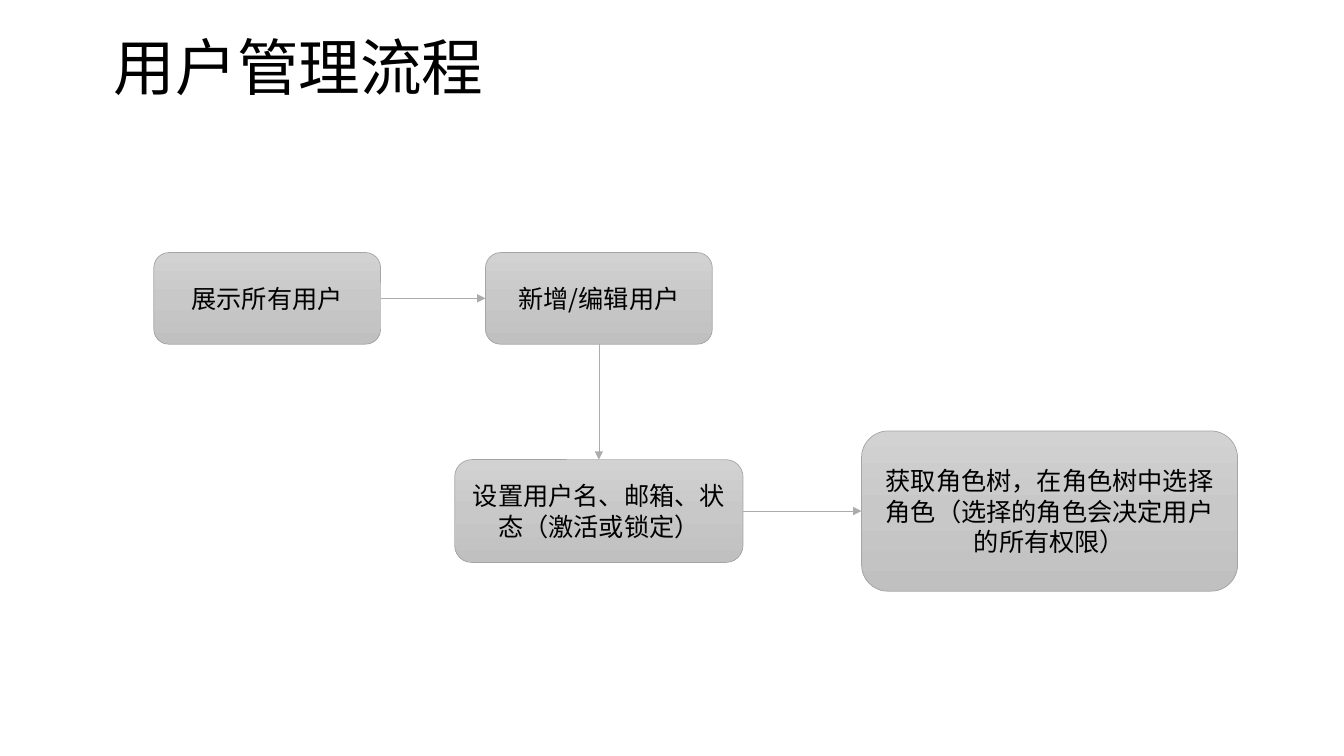
"""Builds the user management flow slide."""
from copy import deepcopy
from dataclasses import dataclass
from typing import Any

from lxml import etree
from pptx import Presentation
from pptx import util as u
from pptx.dml import color
from pptx.enum import shapes, text
from pptx.oxml import ns

FONT = "Noto Sans CJK SC"
HUES = {"text": "000000", "edge": "A5A5A5", "link": "AFABAB",
        "top": "D2D2D2", "mid": "C8C8C8", "low": "C0C0C0"}
STOPS = ((0, "top"), (0.5, "mid"), (1, "low"))
TOP, LEFT, DOWN, RIGHT = range(4)


@dataclass
class Box:
    """A step, placed by its centre, in inches."""
    words: str
    x: float
    y: float
    w: float
    h: float


@dataclass
class Link:
    """An arrow between the sides of two steps."""
    start: int
    out: int
    end: int
    into: int


BOXES = [
    Box("展示所有用户", 2.65, 2.96, 2.25, 0.91),
    Box("新增/编辑用户", 5.94, 2.96, 2.25, 0.91),
    Box("设置用户名、邮箱、状态（激活或锁定）", 5.94, 5.07, 2.86, 1.02),
    Box("获取角色树，在角色树中选择角色（选择的角色会决定用户的所有权限）",
        10.41, 5.07, 3.73, 1.59),
]
LINKS = [Link(0, RIGHT, 1, LEFT), Link(1, DOWN, 2, TOP), Link(2, RIGHT, 3, LEFT)]


def tint(name: str) -> color.RGBColor:
    """Return a named colour."""
    return color.RGBColor.from_string(HUES[name])


def apply(item: Any, form: dict[str, Any]) -> None:
    """Set each format value on an item."""
    for key, value in form.items():
        setattr(item, key, value)


def write(shape: Any, words: str, size: float, para: dict[str, Any]) -> None:
    """Put one styled paragraph in a shape."""
    frame = shape.text_frame
    frame.text = words
    apply(frame, {"word_wrap": True, "auto_size": text.MSO_AUTO_SIZE.NONE,
                  "vertical_anchor": text.MSO_ANCHOR.MIDDLE})
    line = frame.paragraphs[0]
    apply(line, para)
    run = line.runs[0]
    apply(run.font, {"size": u.Pt(size), "name": FONT})
    run.font.color.rgb = tint("text")
    etree.SubElement(run.font._element, ns.qn("a:ea"), typeface=FONT)


def stroke(line: Any, name: str) -> None:
    """Give a line its colour and width."""
    line.color.rgb = tint(name)
    line.width = u.Pt(0.5)


def shade(shape: Any) -> None:
    """Fill a shape with the vertical grey gradient."""
    fill = shape.fill
    fill.gradient()
    fill.gradient_angle = 270
    first = next(shape._element.iter(ns.qn("a:gs")))
    first.addnext(deepcopy(first))
    for stop, (place, name) in zip(fill.gradient_stops, STOPS):
        stop.position = place
        stop.color.rgb = tint(name)


def draw(slide: Any, box: Box) -> Any:
    """Draw one step."""
    spot = (box.x - box.w / 2, box.y - box.h / 2, box.w, box.h)
    shape = slide.shapes.add_shape(
        shapes.MSO_SHAPE.ROUNDED_RECTANGLE, *map(u.Inches, spot))
    shape.shadow.inherit = False
    shade(shape)
    stroke(shape.line, "edge")
    write(shape, box.words, 18, {"alignment": text.PP_ALIGN.CENTER})
    return shape


def join(slide: Any, link: Link, steps: list[Any]) -> None:
    """Draw one arrow."""
    arrow = slide.shapes.add_connector(shapes.MSO_CONNECTOR.STRAIGHT, 0, 0, 0, 0)
    arrow.begin_connect(steps[link.start], link.out)
    arrow.end_connect(steps[link.end], link.into)
    stroke(arrow.line, "link")
    etree.SubElement(arrow.line._get_or_add_ln(), ns.qn("a:tailEnd"), type="triangle")
    etree.SubElement(arrow._element.spPr, ns.qn("a:effectLst"))


def main() -> None:
    """Build and save the slide."""
    deck = Presentation()
    apply(deck, {"slide_width": u.Inches(13.33), "slide_height": u.Inches(7.5)})
    slide = deck.slides.add_slide(deck.slide_layouts[5])
    title = slide.shapes.title
    apply(title, {"left": u.Inches(1.03), "top": u.Inches(0.3),
                  "width": u.Inches(11.5), "height": u.Inches(0.81)})
    write(title, "用户管理流程", 44,
          {"alignment": text.PP_ALIGN.LEFT, "line_spacing": 0.9})
    steps = [draw(slide, box) for box in BOXES]
    for link in LINKS:
        join(slide, link, steps)
    deck.save("out.pptx")


if __name__ == "__main__":
    main()
